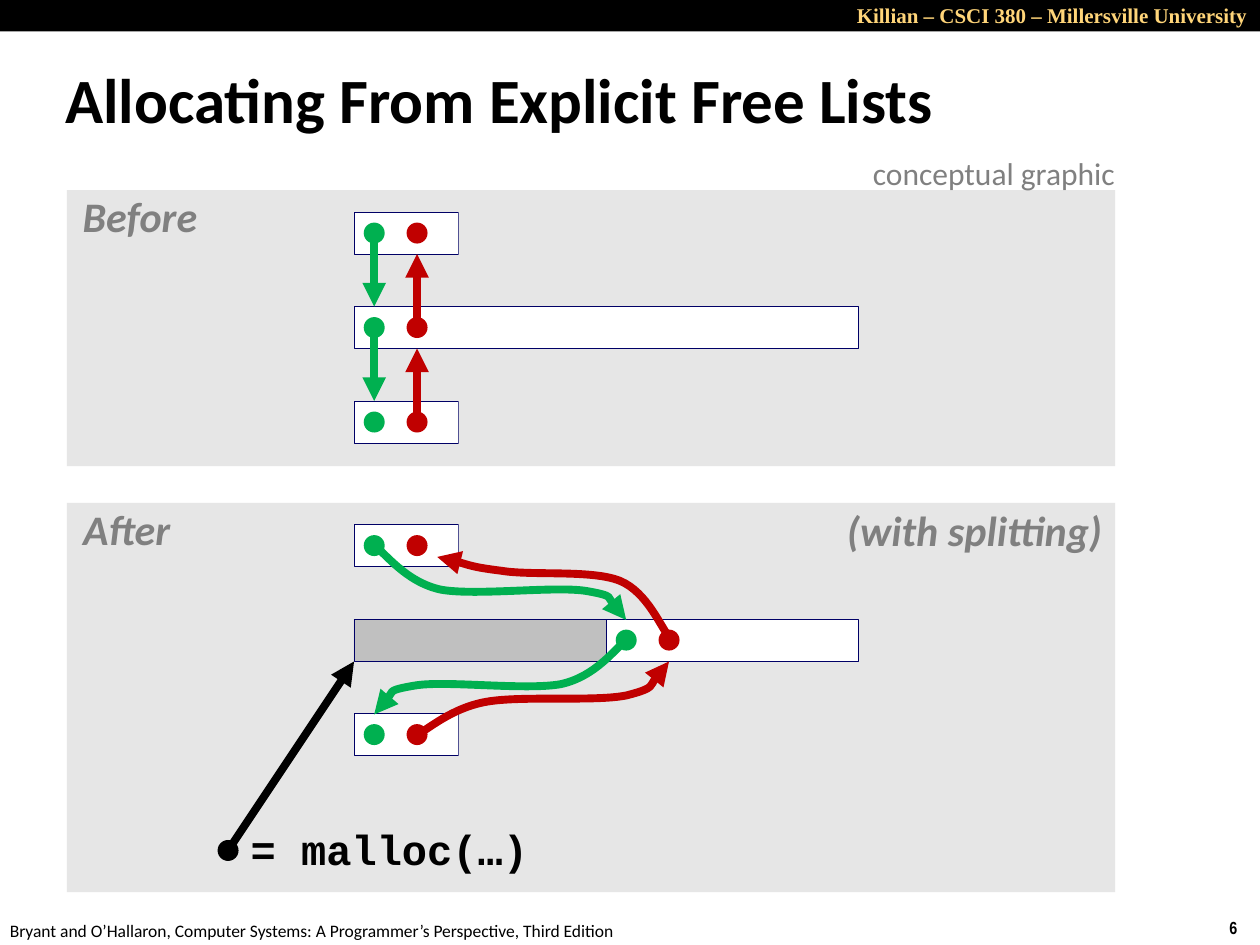
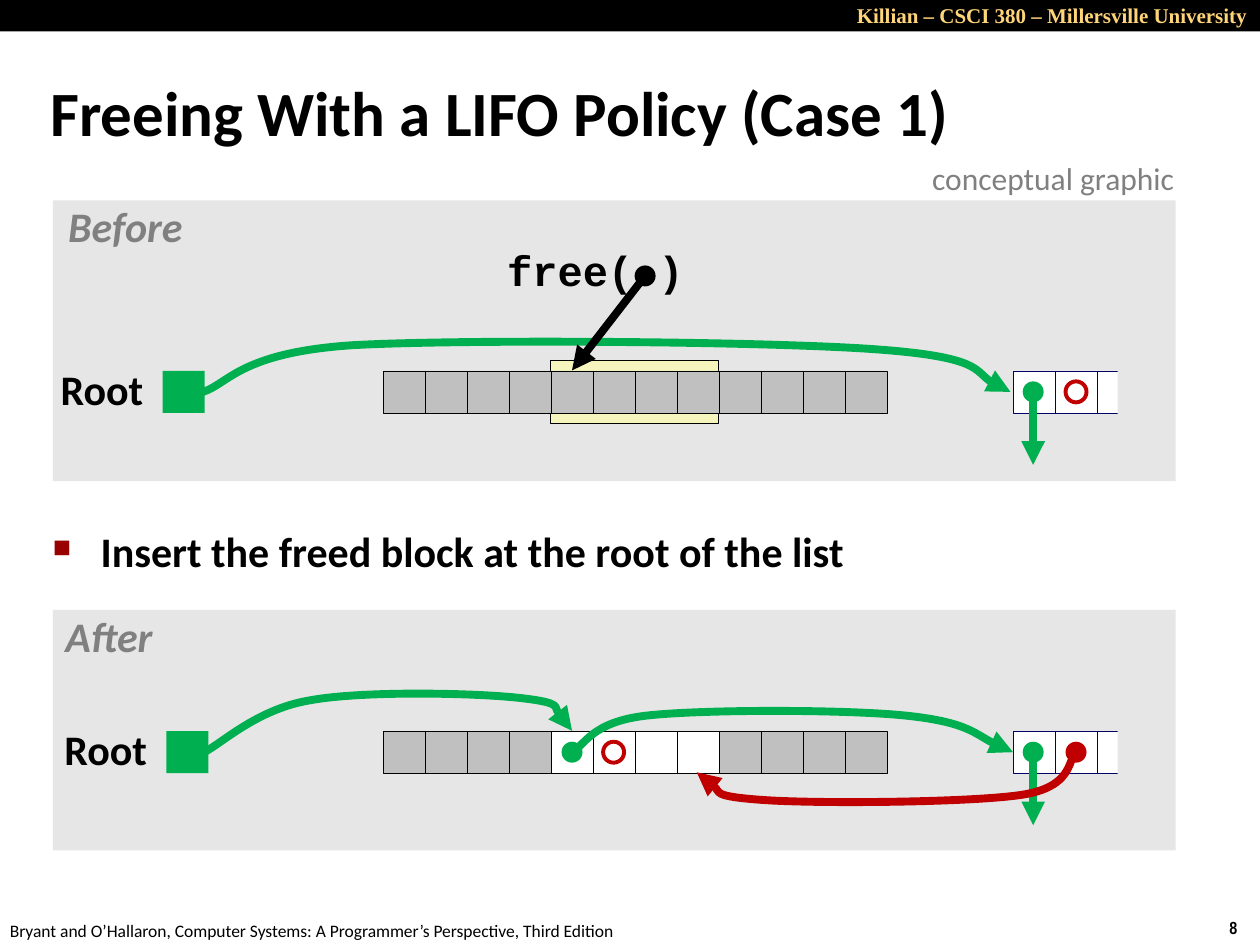
from pptx import Presentation
from pptx.dml.color import RGBColor
from pptx.enum.shapes import MSO_CONNECTOR, MSO_SHAPE
from pptx.enum.text import MSO_ANCHOR, MSO_AUTO_SIZE, PP_ALIGN
from pptx.oxml.ns import qn
from pptx.util import Inches, Pt
from lxml import etree

RECT, OVAL = MSO_SHAPE.RECTANGLE, MSO_SHAPE.OVAL
STRAIGHT = MSO_CONNECTOR.STRAIGHT
LEFT, CENTER, RIGHT = PP_ALIGN.LEFT, PP_ALIGN.CENTER, PP_ALIGN.RIGHT
TOP, MIDDLE = MSO_ANCHOR.TOP, MSO_ANCHOR.MIDDLE
FIT, FIXED = MSO_AUTO_SIZE.SHAPE_TO_FIT_TEXT, MSO_AUTO_SIZE.NONE

COLORS = {
    "black": "000000", "white": "FFFFFF", "gold": "FFD579", "panel": "E6E6E6",
    "label": "808080", "used": "C0C0C0", "navy": "000066", "next": "00B050",
    "prev": "C00000", "highlight": "F6F5BD", "bullet": "990000",
}
BODY, CODE = "Calibri", "Courier New"
CELL = 1 / 3
DOT = CELL / 2


def rgb(color):
    return RGBColor.from_string(COLORS[color])


def add_xml(parent, tag, **attributes):
    return etree.SubElement(parent, qn(tag), attributes)


class Deck:
    def __init__(self):
        self.prs = Presentation()
        self.prs.slide_width, self.prs.slide_height = Inches(10), Inches(7.5)
        self.s = None

    def slide(self, number):
        """Start a slide with the shared band and footer."""
        self.s = self.prs.slides.add_slide(self.prs.slide_layouts[6])
        self.shape(0, 0, 10, 0.25, "black")
        self.text(5.5, -0.03, 4.5, 0.3, "Killian – CSCI 380 – Millersville University",
                  12, "gold", "Times New Roman", bold=True, align=RIGHT, wrap=True)
        self.text(9.66, 7.23, 0.34, 0.27, str(number), 10, font="Arial Narrow", bold=True)
        self.text(-0.02, 7.25, 5.08, 0.27, "Bryant and O’Hallaron, Computer Systems: "
                  "A Programmer’s Perspective, Third Edition", 10)

    def shape(self, x, y, w, h, fill=None, line=None, width=0.25, kind=RECT):
        sp = self.s.shapes.add_shape(kind, Inches(x), Inches(y), Inches(w), Inches(h))
        sp.shadow.inherit = False
        if fill:
            sp.fill.solid()
            sp.fill.fore_color.rgb = rgb(fill)
        else:
            sp.fill.background()
        if line:
            sp.line.color.rgb = rgb(line)
            sp.line.width = Pt(width)
        else:
            sp.line.fill.background()

    def text(self, x, y, w, h, words, size, color="black", font=BODY, bold=False,
             italic=False, align=LEFT, wrap=False, spacing=None, anchor=TOP, inset=0.1):
        sp = self.s.shapes.add_textbox(Inches(x), Inches(y), Inches(w), Inches(h))
        tf = sp.text_frame
        tf.word_wrap = wrap
        tf.auto_size = FIXED if wrap else FIT
        tf.vertical_anchor = anchor
        tf.margin_left = tf.margin_right = Inches(inset)
        p = tf.paragraphs[0]
        p.text = words
        p.alignment = align
        if spacing:
            p.line_spacing = spacing
        p.font.size, p.font.name = Pt(size), font
        p.font.bold, p.font.italic = bold, italic
        p.font.color.rgb = rgb(color)
        return p

    def title(self, x, y, w, h, words):
        self.text(x, y, w, h, words, 36, bold=True, wrap=True, spacing=0.87, anchor=MIDDLE)

    def label(self, x, y, w, words, color="black", font=BODY, italic=False):
        self.text(x, y, w, 0.47, words, 24, color, font, bold=True, italic=italic,
                  align=CENTER, spacing=0.9, inset=0.05)

    def caption(self, x, y):
        self.text(x, y, 2.17, 0.4, "conceptual graphic", 18, "label")

    def panel(self, x, y, w, h, name, label_x, label_w):
        self.shape(x, y, w, h, "panel")
        self.label(label_x, y, label_w, name, "label", italic=True)

    def bullet(self, x, y, w, h, words):
        p = self.text(x, y, w, h, words, 24, bold=True, wrap=True, spacing=0.95)
        props = p._p.get_or_add_pPr()
        props.set("marL", str(Inches(0.38)))
        props.set("indent", str(-Inches(0.38)))
        font_props = props.find(qn("a:defRPr"))
        add_xml(add_xml(props, "a:buClr"), "a:srgbClr", val=COLORS["bullet"])
        add_xml(props, "a:buSzPct", val="60000")
        add_xml(props, "a:buChar", char="■")
        props.append(font_props)

    def dot(self, cx, cy, color, hollow=False):
        fill, line = (None, color) if hollow else (color, None)
        self.shape(cx - DOT / 2, cy - DOT / 2, DOT, DOT, fill, line, 2.25, OVAL)

    def style_arrow(self, sp, color):
        sp.line.color.rgb = rgb(color)
        sp.line.width = Pt(4.5)
        add_xml(sp.line._get_or_add_ln(), "a:tailEnd", type="triangle")

    def arrow(self, x1, y1, x2, y2, color):
        sp = self.s.shapes.add_connector(STRAIGHT, Inches(x1), Inches(y1), Inches(x2), Inches(y2))
        self.style_arrow(sp, color)
        add_xml(sp._element.spPr, "a:effectLst")

    def curve(self, color, *points):
        """Draw a curved arrow: a start, then three Bézier points per piece."""
        start, *rest = [(Inches(x), Inches(y)) for x, y in points]
        builder = self.s.shapes.build_freeform(*start)
        builder.add_line_segments(rest, close=False)
        sp = builder.convert_to_shape()
        sp.shadow.inherit = False
        sp.fill.background()
        self.style_arrow(sp, color)
        segments = list(sp._element.iter(qn("a:lnTo")))
        for i in range(0, len(segments), 3):
            piece = etree.Element(qn("a:cubicBezTo"))
            segments[i].addprevious(piece)
            for segment in segments[i:i + 3]:
                piece.append(segment[0])
                segment.getparent().remove(segment)

    def cells(self, x, cy, fills, line):
        for i, fill in enumerate(fills):
            self.shape(x + i * CELL, cy - CELL / 2, CELL, CELL, fill, line)

    def cover(self, x, cy):
        """Hide what lies past the visible end of a block."""
        self.shape(x, cy - 0.25, CELL, 0.5, "panel")


def allocating(deck):
    left, next_x, prev_x = 2.81, 2.97, 3.31
    before, after = [1.85, 2.6, 3.35], [4.33, 5.08, 5.83]

    def block(x, cy, w, fill="white"):
        deck.shape(x, cy - CELL / 2, w, CELL, fill, "navy")

    def short_block(cy):
        block(left, cy, 0.83)
        deck.cover(3.64, cy)

    def links(cy, shift=0):
        deck.dot(next_x + shift, cy, "next")
        deck.dot(prev_x + shift, cy, "prev")

    deck.slide(6)
    deck.panel(0.53, 3.99, 8.32, 3.09, "After", 0.6, 0.81)
    deck.panel(0.53, 1.51, 8.32, 2.19, "Before", 0.6, 1.02)
    deck.title(0.42, 0.51, 8.75, 0.63, "Allocating From Explicit Free Lists")
    deck.caption(6.83, 1.17)
    deck.label(6.66, 4, 2.15, "(with splitting)", "label", italic=True)

    for cy in (before[0], before[2], after[0], after[2]):
        short_block(cy)
    block(left, before[1], 4)
    for cy in before:
        links(cy)
    for upper, lower in zip(before, before[1:]):
        deck.arrow(next_x, upper, next_x, lower - CELL / 2, "next")
        deck.arrow(prev_x, lower, prev_x, upper + CELL / 2, "prev")

    block(left + 2, after[1], 2)
    block(left, after[1], 2, "used")
    links(after[0])
    links(after[1], shift=2)
    links(after[2])
    deck.curve("next", (2.97, 4.33), (3.06, 4.39), (3.22, 4.62), (3.5, 4.68), (3.78, 4.73),
               (4.4, 4.65), (4.65, 4.69), (4.89, 4.73), (4.91, 4.87), (4.97, 4.92))
    deck.curve("next", (4.97, 5.08), (4.89, 5.14), (4.73, 5.37), (4.45, 5.43), (4.17, 5.48),
               (3.54, 5.4), (3.3, 5.44), (3.05, 5.48), (3.04, 5.62), (2.97, 5.67))
    deck.curve("prev", (5.32, 5.07), (5.25, 4.99), (5.14, 4.7), (4.92, 4.61), (4.7, 4.52),
               (4.22, 4.57), (3.98, 4.53), (3.74, 4.5), (3.58, 4.44), (3.47, 4.42))
    deck.curve("prev", (3.31, 5.83), (3.4, 5.79), (3.58, 5.62), (3.86, 5.57), (4.14, 5.52),
               (4.72, 5.57), (4.97, 5.52), (5.21, 5.46), (5.24, 5.31), (5.31, 5.25))

    deck.dot(1.81, 6.75, "black")
    deck.arrow(1.81, 6.75, left, 5.25, "black")
    deck.label(1.93, 6.53, 2.32, "= malloc(…)", font=CODE)


def freeing(deck):
    before, after = 3.11, 5.97
    next_x, prev_x = 8.2, 8.54

    def heap(cy, middle):
        deck.cells(3.04, cy, ["used"] * 4 + [middle] * 4 + ["used"] * 4, "black")

    def root(x, cy):
        deck.shape(x, cy - CELL / 2, CELL, CELL, "next")
        deck.label(x - 0.86, cy - 0.23, 0.76, "Root")

    def first_block(cy, prev_hollow):
        deck.cells(8.04, cy, ["white"] * 3, "navy")
        deck.cover(8.87, cy)
        deck.dot(next_x, cy, "next")
        deck.arrow(next_x, cy, next_x, cy + 0.58, "next")
        deck.dot(prev_x, cy, "prev", prev_hollow)

    deck.slide(8)
    deck.panel(0.42, 4.84, 8.91, 1.91, "After", 0.46, 0.81)
    deck.panel(0.42, 1.59, 8.91, 2.23, "Before", 0.48, 1.03)
    deck.title(0.3, 0.5, 9.53, 0.86, "Freeing With a LIFO Policy (Case 1)")
    deck.caption(7.3, 1.21)
    deck.bullet(0.32, 4.15, 9.09, 0.61, "Insert the freed block at the root of the list")

    deck.shape(4.37, 2.86, 4 * CELL, 0.5, "highlight", "black", 0.75)
    deck.curve("next", (1.61, 3.11), (1.81, 3.05), (1.9, 2.8), (2.79, 2.74), (3.67, 2.69),
               (6.05, 2.71), (6.92, 2.77), (7.79, 2.83), (7.79, 3.04), (8.02, 3.11))
    heap(before, "used")
    root(1.29, before)
    first_block(before, prev_hollow=True)
    deck.label(3.97, 1.94, 1.51, "free( )", font=CODE)
    deck.dot(5.12, 2.19, "black")
    deck.arrow(5.12, 2.19, 4.54, 2.94, "black")

    heap(after, "white")
    deck.dot(4.54, after, "next")
    deck.dot(4.87, after, "prev", hollow=True)
    root(1.32, after)
    first_block(after, prev_hollow=False)
    deck.curve("next", (4.54, 5.97), (4.64, 5.92), (4.69, 5.73), (5.13, 5.68), (5.57, 5.63),
               (6.71, 5.63), (7.19, 5.68), (7.67, 5.73), (7.86, 5.91), (8.04, 5.97))
    deck.curve("prev", (8.54, 5.98), (8.47, 6.03), (8.52, 6.25), (8.1, 6.31), (7.69, 6.37),
               (6.49, 6.38), (6.06, 6.35), (5.63, 6.32), (5.64, 6.18), (5.53, 6.13))
    deck.curve("next", (1.62, 5.97), (1.76, 5.9), (2.04, 5.63), (2.45, 5.56), (2.87, 5.48),
               (3.78, 5.5), (4.13, 5.54), (4.48, 5.58), (4.46, 5.74), (4.54, 5.8))


def main():
    deck = Deck()
    allocating(deck)
    freeing(deck)
    deck.prs.save("out.pptx")


if __name__ == "__main__":
    main()
